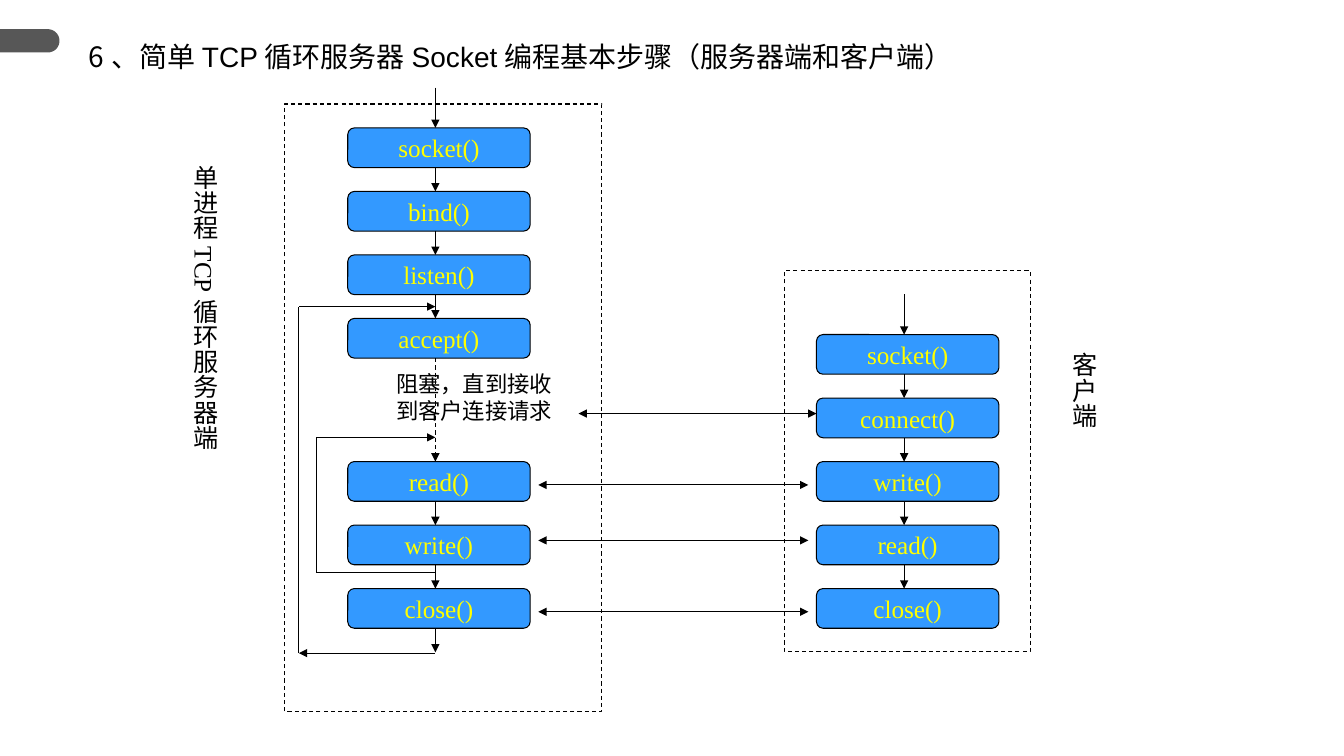
import math

from lxml import etree
from pptx import Presentation
from pptx.dml.color import RGBColor
from pptx.enum.dml import MSO_LINE
from pptx.enum.shapes import MSO_CONNECTOR, MSO_SHAPE
from pptx.enum.text import MSO_ANCHOR, MSO_AUTO_SIZE, PP_ALIGN
from pptx.oxml.ns import qn
from pptx.util import Pt

STRAIGHT = MSO_CONNECTOR.STRAIGHT
RECTANGLE, ROUNDED = MSO_SHAPE.RECTANGLE, MSO_SHAPE.ROUNDED_RECTANGLE
DASH = MSO_LINE.DASH
TOP, MIDDLE = MSO_ANCHOR.TOP, MSO_ANCHOR.MIDDLE
LEFT, CENTER = PP_ALIGN.LEFT, PP_ALIGN.CENTER
NO_FIT = MSO_AUTO_SIZE.NONE

BLACK = RGBColor(0, 0, 0)
BLUE = RGBColor(0x33, 0x99, 0xFF)
YELLOW = RGBColor(0xFF, 0xFF, 0)
GRAY = RGBColor(0x57, 0x57, 0x57)

# Lengths in points
CALL_WIDTH, CALL_HEIGHT, CALL_STEP = 130.3, 28.35, 45.36
ENTRY_LENGTH = 28.8
SERVER_LEFT, SERVER_AXIS, SERVER_TOP = 248.4, 311, 91.4
CLIENT_LEFT, CLIENT_AXIS, CLIENT_TOP = 583.2, 645.8, 239
READ_TOP = CLIENT_TOP + 2 * CALL_STEP
ACCEPT_BOTTOM = SERVER_TOP + 3 * CALL_STEP + CALL_HEIGHT


class FlowPage:
    latin = "Times New Roman"
    asian = "Noto Sans CJK SC"
    line_width = 0.75

    def __init__(self, deck):
        self.page = deck.slides.add_slide(deck.slide_layouts[5])

    def style(self, span, size, color=BLACK, latin=None):
        span.font.size = Pt(size)
        span.font.color.rgb = color
        span.font.name = latin or self.latin
        etree.SubElement(span.font._element, qn("a:ea"), typeface=self.asian)

    def outline(self, line, dashed=False):
        line.color.rgb = BLACK
        line.width = Pt(self.line_width)
        if dashed:
            line.dash_style = DASH

    def title(self, parts, left, top, width, height):
        box = self.page.shapes.title
        box.left, box.top, box.width, box.height = map(Pt, (left, top, width, height))
        frame = box.text_frame
        frame.word_wrap, frame.auto_size = True, NO_FIT
        frame.vertical_anchor = TOP
        para = frame.paragraphs[0]
        para.alignment = LEFT
        for text, latin in parts:
            span = para.add_run()
            span.text = text
            self.style(span, 20, latin=latin)

    def tab(self, top, width, height):
        radius = height / 2
        arc = []
        for degrees in range(-90, 91, 6):
            angle = math.radians(degrees)
            arc.append((Pt(width - radius + radius * math.cos(angle)),
                        Pt(top + radius + radius * math.sin(angle))))
        builder = self.page.shapes.build_freeform(0, Pt(top))
        builder.add_line_segments(arc + [(0, Pt(top + height))], close=True)
        shape = builder.convert_to_shape()
        shape.shadow.inherit = False
        shape.fill.solid()
        shape.fill.fore_color.rgb = GRAY
        shape.line.fill.background()

    def frame(self, left, top, width, height):
        box = self.page.shapes.add_shape(RECTANGLE, *map(Pt, (left, top, width, height)))
        box.shadow.inherit = False
        box.fill.background()
        self.outline(box.line, dashed=True)

    def call(self, name, left, top):
        box = self.page.shapes.add_shape(
            ROUNDED, Pt(left), Pt(top), Pt(CALL_WIDTH), Pt(CALL_HEIGHT))
        box.shadow.inherit = False
        box.fill.solid()
        box.fill.fore_color.rgb = BLUE
        self.outline(box.line)
        frame = box.text_frame
        frame.text = name
        frame.word_wrap = False
        frame.vertical_anchor = MIDDLE
        para = frame.paragraphs[0]
        para.alignment = CENTER
        self.style(para.runs[0], 18, YELLOW)

    def label(self, text, left, top, width, height, size=18, vertical=False):
        box = self.page.shapes.add_textbox(*map(Pt, (left, top, width, height)))
        frame = box.text_frame
        frame.text = text
        frame.word_wrap = False
        if vertical:
            frame._txBody.bodyPr.set("vert", "eaVert")
        for para in frame.paragraphs:
            self.style(para.runs[0], size)

    def line(self, start, end, head=False, tail=False, dashed=False):
        line = self.page.shapes.add_connector(STRAIGHT, *map(Pt, (*start, *end)))
        self.outline(line.line, dashed)
        for tag, wanted in (("a:headEnd", head), ("a:tailEnd", tail)):
            if wanted:
                etree.SubElement(line.line._get_or_add_ln(), qn(tag), type="triangle")
        etree.SubElement(line._element.spPr, qn("a:effectLst"))

    def chain(self, names, left, axis, top):
        """Stacked calls with an arrow from each one to the next."""
        for index, name in enumerate(names):
            call_top = top + index * CALL_STEP
            self.call(name, left, call_top)
            if index:
                self.line((axis, call_top - CALL_STEP + CALL_HEIGHT),
                          (axis, call_top), tail=True)

    def entry(self, axis, top):
        self.line((axis, top - ENTRY_LENGTH), (axis, top), tail=True)


def main():
    deck = Presentation()
    deck.slide_width, deck.slide_height = Pt(960), Pt(540)
    flow = FlowPage(deck)

    # Heading
    flow.tab(20.9, 42.5, 16.6)
    flow.title([("6、", flow.asian),
                ("简单TCP循环服务器Socket编程基本步骤（服务器端和客户端）", "Arial")],
               56.2, 24.5, 856, 80)

    # Client
    flow.chain(["socket()", "connect()", "write()", "read()", "close()"],
               CLIENT_LEFT, CLIENT_AXIS, CLIENT_TOP)
    flow.entry(CLIENT_AXIS, CLIENT_TOP)
    flow.frame(560.2, 193.5, 175.7, 272)

    # Exchanges between both sides
    flow.line((413.3, 295.4), (CLIENT_LEFT, 295.4), head=True, tail=True)
    for y in (346.4, 386, 437):
        flow.line((384.5, y), (577.4, y), head=True, tail=True)

    # Side labels
    flow.label("单进程TCP循环服务器端", 124.6, 110.9, 36, 204.5, vertical=True)
    flow.label("客户端", 753.1, 244.8, 36, 62, vertical=True)

    # Server
    flow.frame(203.2, 74.3, 226.8, 434)
    flow.chain(["socket()", "bind()", "listen()", "accept()"],
               SERVER_LEFT, SERVER_AXIS, SERVER_TOP)
    flow.chain(["read()", "write()", "close()"],
               SERVER_LEFT, SERVER_AXIS, READ_TOP)
    flow.entry(SERVER_AXIS, SERVER_TOP)
    flow.line((SERVER_AXIS, ACCEPT_BOTTOM), (SERVER_AXIS, READ_TOP),
              tail=True, dashed=True)

    # Inner loop: write back to read
    flow.line((SERVER_AXIS, 409), (226, 409))
    flow.line((226, 409), (226, 312.4))
    flow.line((226, 312.4), (SERVER_AXIS, 312.4), tail=True)
    flow.label("阻塞，直到接收\n到客户连接请求", 275.8, 260.6, 127.4, 46, size=16)

    # Outer loop: close back to accept
    flow.line((213.5, 466.5), (213.5, 219))
    flow.line((213.5, 219), (SERVER_AXIS, 219), tail=True)
    flow.line((213.5, 466.5), (SERVER_AXIS, 466.5), head=True)
    flow.line((SERVER_AXIS, READ_TOP + 2 * CALL_STEP + CALL_HEIGHT),
              (SERVER_AXIS, 466), tail=True)

    deck.save("out.pptx")


if __name__ == "__main__":
    main()
